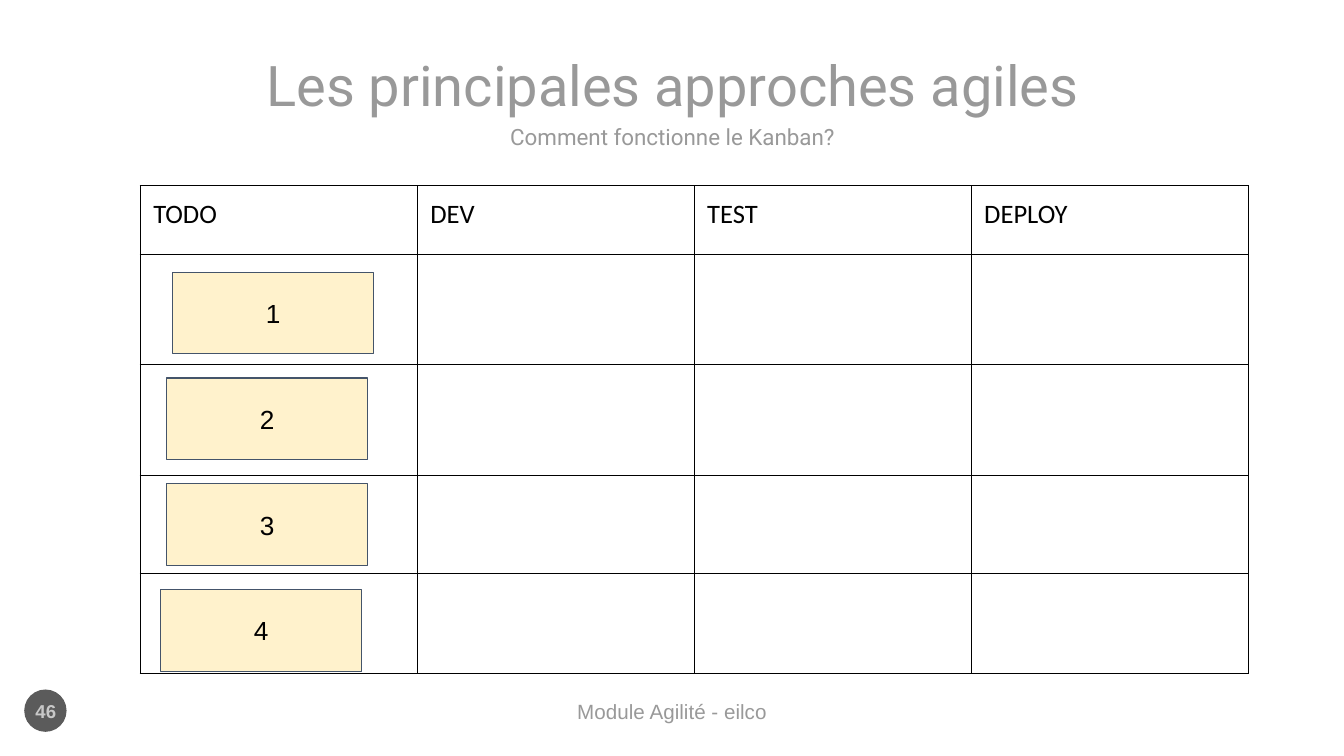
import pptx
import pptx.dml.color
import pptx.enum.shapes
import pptx.enum.text
import pptx.oxml
import pptx.oxml.ns
import pptx.util
from pptx.util import Inches

COLOURS = {
    "black": "000000",
    "grey": "999999",
    "badge": "5B5B5B",
    "badge_text": "C8C8C8",
    "card": "FFF2CC",
    "card_line": "44546A",
}
SHAPES = pptx.enum.shapes.MSO_SHAPE
ALIGN = pptx.enum.text.PP_ALIGN
ANCHOR = pptx.enum.text.MSO_ANCHOR


def colour(name):
    return pptx.dml.color.RGBColor.from_string(COLOURS[name])


def write(frame, text, size, font, tint, align=ALIGN.CENTER, bold=False):
    para = frame.paragraphs[0]
    para.alignment = align
    span = para.add_run()
    span.text = text
    span.font.size = pptx.util.Pt(size)
    span.font.name = font
    span.font.bold = bold
    span.font.color.rgb = colour(tint)


def set_margins(target, margin):
    for side in ("left", "top", "right", "bottom"):
        setattr(target, f"margin_{side}", Inches(margin))


def add_label(page, box, text, size, font, tint, margin=0.1,
              anchor=ANCHOR.MIDDLE, bold=False):
    frame = page.shapes.add_textbox(*map(Inches, box)).text_frame
    frame.word_wrap = True
    frame.vertical_anchor = anchor
    set_margins(frame, margin)
    write(frame, text, size, font, tint, bold=bold)


def add_filled(page, kind, box, fill, line=None):
    shape = page.shapes.add_shape(kind, *map(Inches, box))
    shape.shadow.inherit = False
    shape.fill.solid()
    shape.fill.fore_color.rgb = colour(fill)
    if line:
        shape.line.color.rgb = colour(line)
        shape.line.width = pptx.util.Pt(0.75)
    else:
        shape.line.fill.background()
    return shape


def add_heading(page, box):
    left, top, width, height = box
    add_label(page, (left, top, width, 0.54),
              "Les principales approches agiles", 40, "Roboto", "grey")
    add_label(page, (left, top + 0.65, width, height - 0.65),
              "Comment fonctionne le Kanban?", 16, "Roboto", "grey")


def add_borders(cell):
    properties = cell._tc.get_or_add_tcPr()
    for edge in ("lnL", "lnR", "lnT", "lnB"):
        properties.append(pptx.oxml.parse_xml(
            f'<a:{edge} {pptx.oxml.ns.nsdecls("a")} w="9525"><a:solidFill>'
            f'<a:srgbClr val="{COLOURS["black"]}"/></a:solidFill></a:{edge}>'))


def add_board(page, box):
    headers = ("TODO", "DEV", "TEST", "DEPLOY")
    heights = (0.68, 1.1, 1.1, 0.97, 0.99)
    table = page.shapes.add_table(
        len(heights), len(headers), *map(Inches, box)).table
    table.first_row = False
    table.horz_banding = False
    for column in table.columns:
        column.width = Inches(box[2] / len(headers))
    for row, height in zip(table.rows, heights):
        row.height = Inches(height)
    for cell in table.iter_cells():
        set_margins(cell, 0.13)
        add_borders(cell)
        cell.fill.background()
    for cell, header in zip(table.rows[0].cells, headers):
        write(cell.text_frame, header, 19, "Calibri", "black", ALIGN.LEFT)


def add_cards(page, box):
    left, top, width, height = box
    pitch = 1.05
    for index, shift in enumerate((0.12, 0.06, 0.06, 0)):
        card = add_filled(
            page, SHAPES.RECTANGLE,
            (left + shift, top + index * pitch, width, height - 3 * pitch),
            "card", "card_line")
        frame = card.text_frame
        frame.vertical_anchor = ANCHOR.MIDDLE
        set_margins(frame, 0.13)
        write(frame, str(index + 1), 18.7, "Arial", "black")


def add_footer(page, box):
    left, top, width, height = box
    add_filled(page, SHAPES.OVAL, (left + 0.12, top, height, height), "badge")
    add_label(page, (left, top + 0.01, 0.67, 0.4), "46", 13.3, "Arial",
              "badge_text", bold=True)
    add_label(page, (left + 0.89, top + 0.09, width - 0.89, 0.4),
              "Module Agilité - eilco", 14.7, "Arial", "grey",
              margin=0, anchor=ANCHOR.TOP)


def main():
    deck = pptx.Presentation()
    deck.slide_width = Inches(13.33)
    deck.slide_height = Inches(7.5)
    page = deck.slides.add_slide(deck.slide_layouts[6])
    add_footer(page, (0.12, 6.84, 12.2, 0.42))
    add_board(page, (1.39, 1.84, 10.99, 4.84))
    add_cards(page, (1.59, 2.7, 2, 3.96))
    add_heading(page, (2.53, 0.56, 8.28, 0.94))
    deck.save("out.pptx")


if __name__ == "__main__":
    main()
